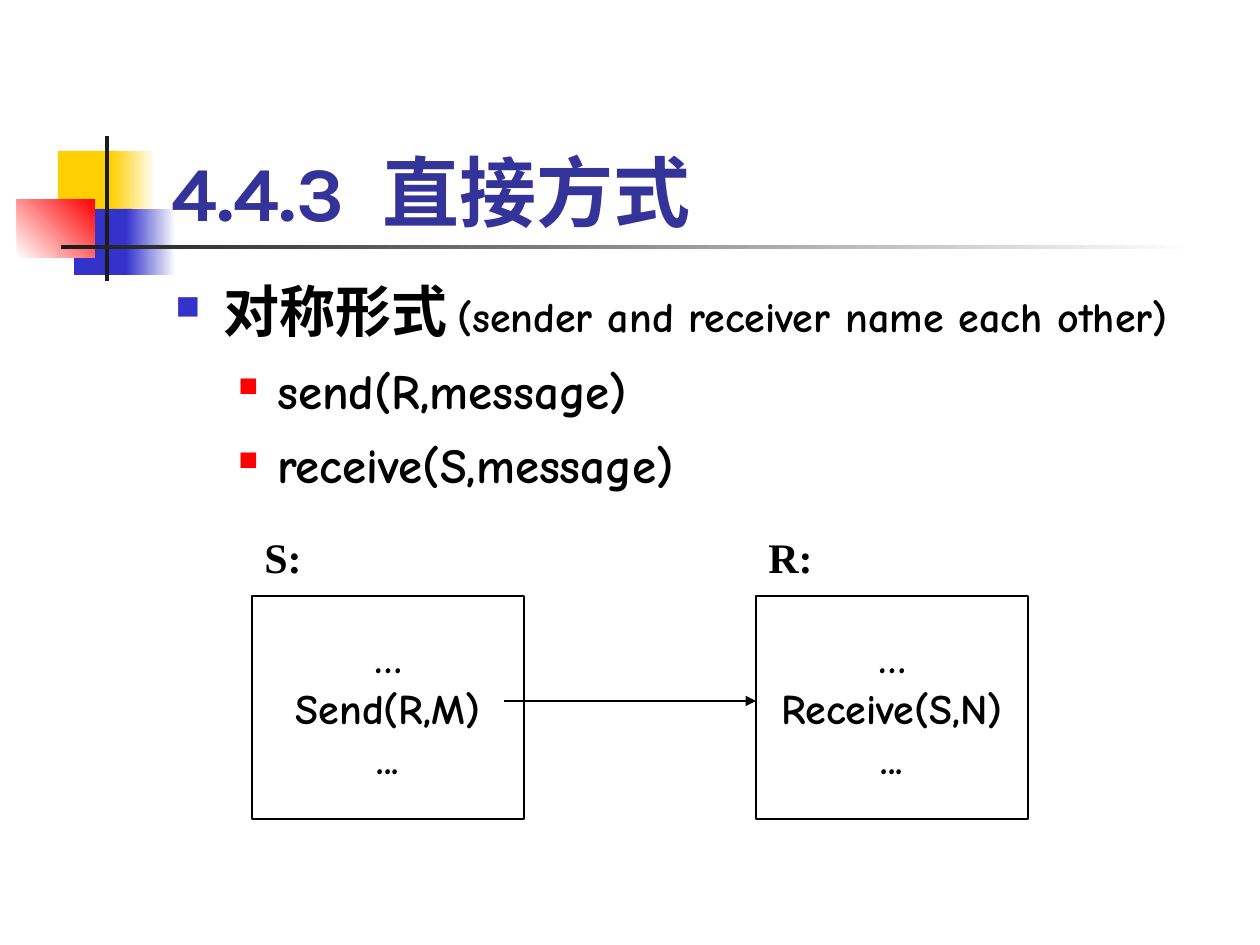
"""Build the slide on the symmetric form of direct communication."""
from lxml.etree import SubElement
from pptx import Presentation
from pptx.dml.color import RGBColor
from pptx.enum.shapes import MSO_CONNECTOR as CONN, MSO_SHAPE as SHAPE
from pptx.enum.text import MSO_ANCHOR as ANCHOR, PP_ALIGN as ALIGN
from pptx.oxml.ns import qn
from pptx.util import Emu, Pt

COLORS = {
    "yellow": "FFCF01", "blue": "3333CC", "red": "FF0000", "white": "FFFFFF",
    "dark": "1C1C1C", "title": "333399", "black": "000000",
}
HEAD, BODY, LABEL = "Karla", "Comic Neue", "Times New Roman"

ORNAMENTS = [
    ((58, 151, 60, 66), ("yellow",), 0),
    ((111, 151, 45, 66), ("yellow", "white"), 0),
    ((74, 209, 58, 66), ("blue",), 0),
    ((126, 209, 50, 66), ("blue", "white"), 0),
    ((17, 199, 78, 59), ("white", "red"), 45),
    ((105, 136, 4, 145), ("dark",), 0),
    ((61, 245, 1134, 4), ("dark", "white"), 0),
]
TITLE = [("4.4.3", 0), (" ", 1100), ("直接方式", 0)]
BULLETS = [
    ([("对称形式", HEAD, 32), (" (sender and receiver name each other)", BODY, 24)],
     0, 48, 48, 0.9, 0, "blue", 60),
    ([("send(R,message)", BODY, 28)], 1, 102, 39, 1.1, 5.6, "red", 55),
    ([("receive(S,message)", BODY, 28)], 1, 102, 39, 1.1, 5.6, "red", 55),
]
PROCESSES = [
    ("S:", 73, ["…", "Send(R,M)", "..."]),
    ("R:", 95, ["…", "Receive(S,N)", "..."]),
]
BOX_X, BOX_Y, BOX_W, BOX_H, BOX_STEP = 252, 596, 272, 223, 504
LABEL_Y, LABEL_H, ARROW_Y = 525, 63, 701


def px(*values):
    return [Emu(round(v * 914400 / 126)) for v in values]


def rgb(name):
    return RGBColor.from_string(COLORS[name])


def add_run(p, text, font, size, color="black"):
    r = p.add_run()
    r.text = text
    r.font.name, r.font.size, r.font.bold = font, Pt(size), True
    r.font.color.rgb = rgb(color)
    return r


def add_rect(s, at, colors, angle=0):
    sp = s.shapes.add_shape(SHAPE.RECTANGLE, *px(*at))
    sp.shadow.inherit = False
    sp.line.fill.background()
    if len(colors) == 1:
        sp.fill.solid()
        sp.fill.fore_color.rgb = rgb(colors[0])
    else:
        sp.fill.gradient()
        sp.fill.gradient_angle = angle
        for stop, color in zip(sp.fill.gradient_stops, colors):
            stop.color.rgb = rgb(color)
    return sp


def add_text(s, at, anchor=ANCHOR.TOP):
    tf = s.shapes.add_textbox(*px(*at)).text_frame
    tf.word_wrap = True
    tf.vertical_anchor = anchor
    return tf


def add_bullet(p, left, hanging, color, percent):
    pPr = p._p.get_or_add_pPr()
    margin, indent = px(left, -hanging)
    pPr.set("marL", str(margin))
    pPr.set("indent", str(indent))
    SubElement(SubElement(pPr, qn("a:buClr")), qn("a:srgbClr"), val=COLORS[color])
    SubElement(pPr, qn("a:buSzPct"), val=str(percent * 1000))
    SubElement(pPr, qn("a:buChar"), char="■")


def add_arrow(s, x1, x2, y):
    c = s.shapes.add_connector(CONN.STRAIGHT, *px(x1, y, x2, y))
    c.line.color.rgb = rgb("black")
    c.line.width = Pt(0.75)
    SubElement(c.line._get_or_add_ln(), qn("a:tailEnd"), type="triangle")
    SubElement(c._element.spPr, qn("a:effectLst"))


def add_process(s, x, label, label_w, lines):
    sp = add_rect(s, (x, BOX_Y, BOX_W, BOX_H), ["white"])
    sp.line.color.rgb = rgb("black")
    sp.line.width = Pt(0.75)
    tf = sp.text_frame
    tf.word_wrap = False
    tf.vertical_anchor = ANCHOR.MIDDLE
    for i, line in enumerate(lines):
        p = tf.add_paragraph() if i else tf.paragraphs[0]
        p.alignment = ALIGN.CENTER
        add_run(p, line, BODY, 24)
    tf = add_text(s, (x, LABEL_Y, label_w, LABEL_H))
    add_run(tf.paragraphs[0], label, LABEL, 24)


def main():
    prs = Presentation()
    prs.slide_width, prs.slide_height = px(1260, 945)
    s = prs.slides.add_slide(prs.slide_layouts[6])
    for ornament in ORNAMENTS:
        add_rect(s, *ornament)

    p = add_text(s, (159, 86, 1074, 157), ANCHOR.BOTTOM).paragraphs[0]
    for text, spacing in TITLE:
        r = add_run(p, text, HEAD, 44, "title")
        r.font._element.set("spc", str(spacing))

    tf = add_text(s, (163, 278, 1071, 275))
    for i, (runs, level, left, hanging, spacing, before, color, percent) in enumerate(BULLETS):
        p = tf.add_paragraph() if i else tf.paragraphs[0]
        p.level, p.line_spacing, p.space_before = level, spacing, Pt(before)
        add_bullet(p, left, hanging, color, percent)
        for run in runs:
            add_run(p, *run)

    for i, process in enumerate(PROCESSES):
        add_process(s, BOX_X + i * BOX_STEP, *process)
    add_arrow(s, BOX_STEP, BOX_X + BOX_STEP, ARROW_Y)
    prs.save("out.pptx")


if __name__ == "__main__":
    main()
